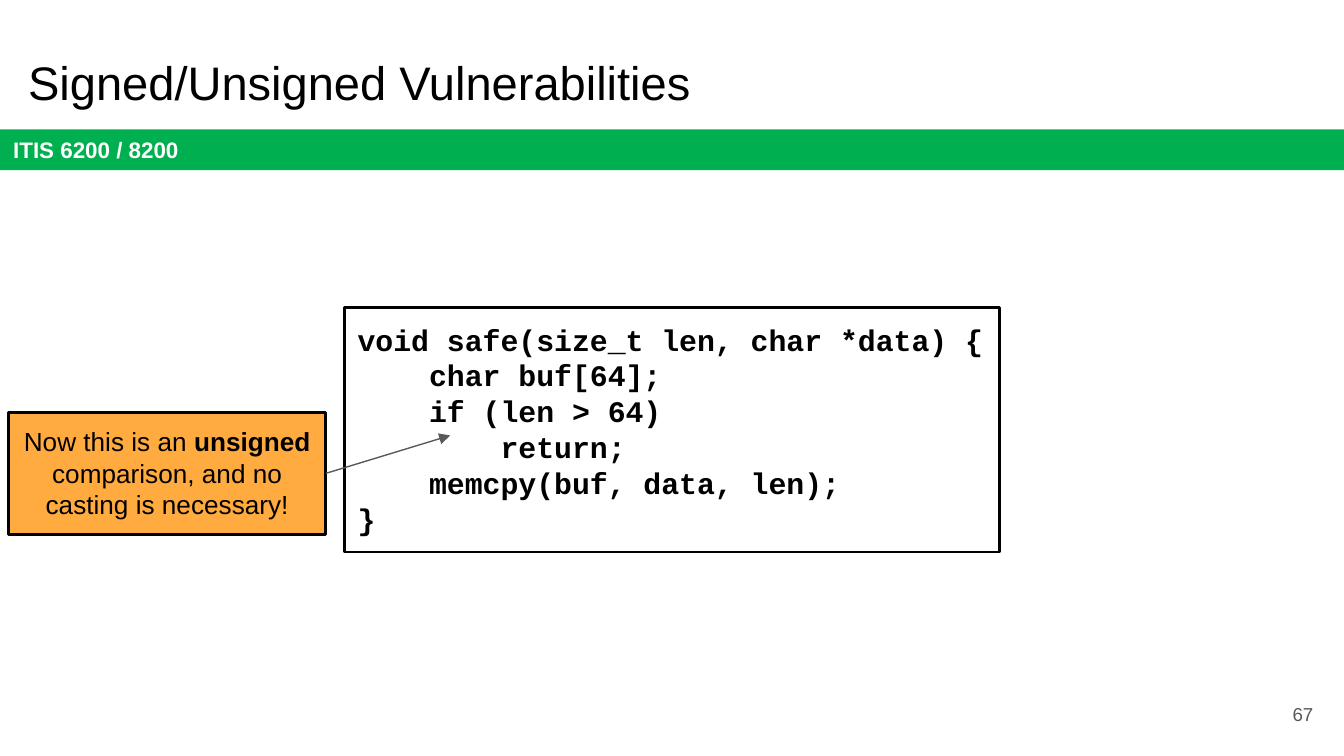
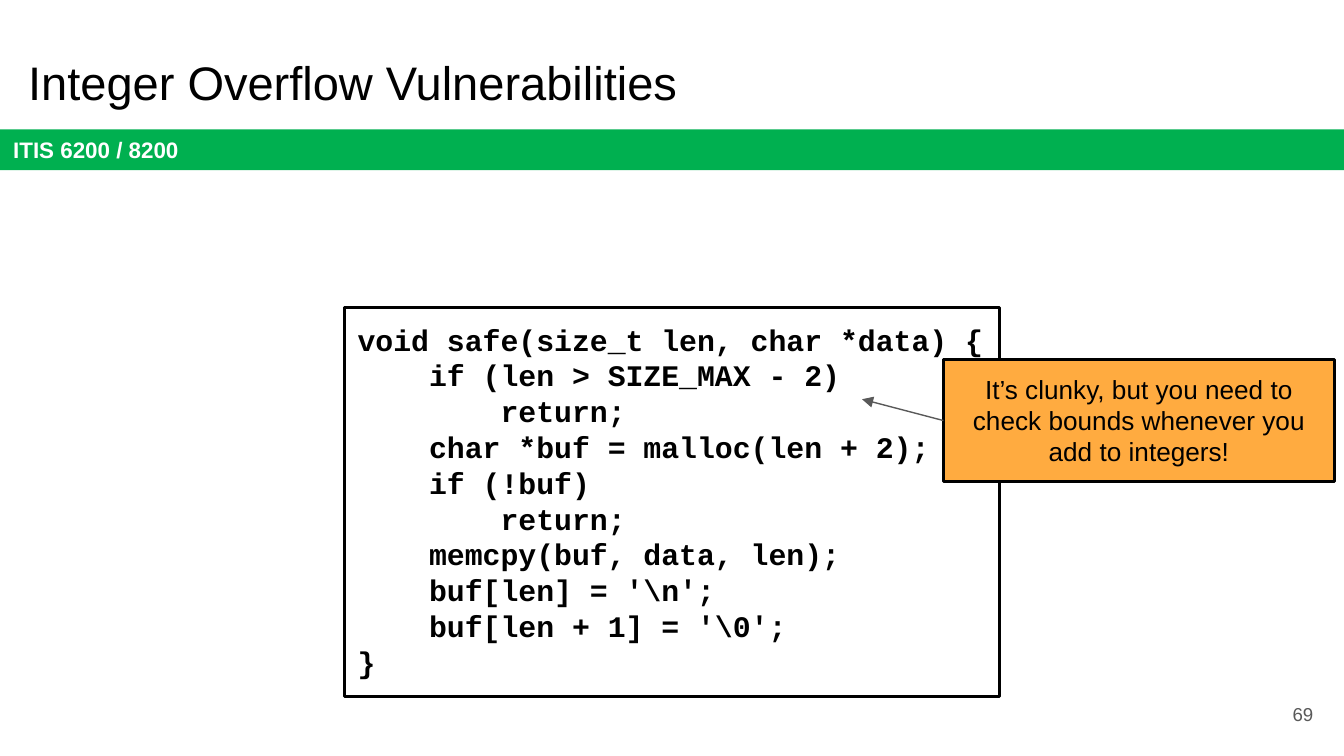
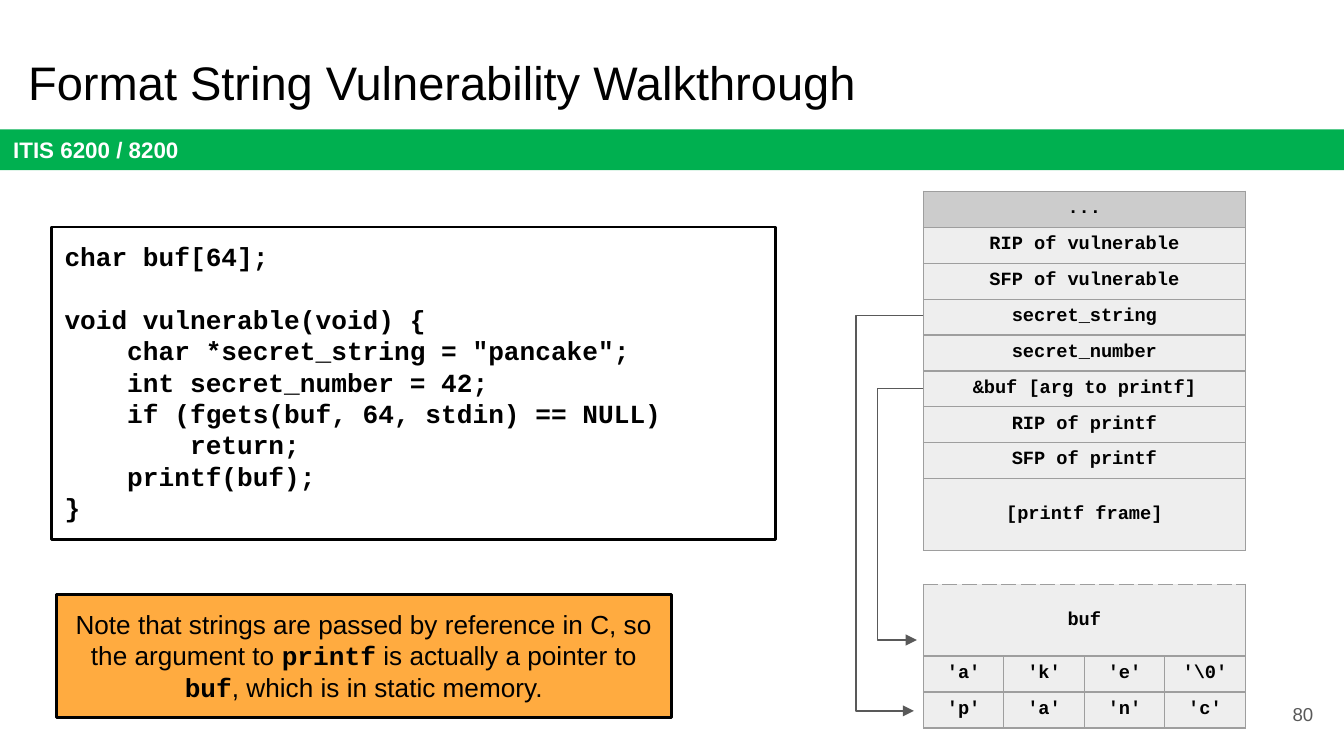
import pptx
import pptx.util
import pptx.dml.color
import pptx.enum.shapes
import pptx.enum.text
import pptx.oxml
import pptx.oxml.ns

Pt = pptx.util.Pt
Shape = pptx.enum.shapes.MSO_SHAPE
Align = pptx.enum.text.PP_ALIGN
Anchor = pptx.enum.text.MSO_ANCHOR

COLORS = {
    "band": "00B050", "note": "FFAB40", "ink": "000000", "paper": "FFFFFF",
    "gray": "595959", "grid": "9E9E9E", "cell": "EEEEEE", "head": "CCCCCC",
}
SANS, MONO = "Arial", "Courier New"
COURSE = "ITIS 6200 / 8200"
ROW, COL = 19.2, 43.1
STACK_X = 494.7

# Boxes are left, top, width, height. Note runs are text, font, bold.
SLIDES = [
    {
        "title": "Signed/Unsigned Vulnerabilities", "page": 67,
        "code": {"box": (184.5, 164.9, 350.9, 130.9), "size": 16, "lines": [
            "void safe(size_t len, char *data) {",
            "    char buf[64];",
            "    if (len > 64)",
            "        return;",
            "    memcpy(buf, data, len);",
            "}",
        ]},
        "note": {"box": (4.6, 220.9, 170, 65.5), "runs": [
            ("Now this is an ", SANS, False),
            ("unsigned", SANS, True),
            (" comparison, and no casting is necessary!", SANS, False),
        ]},
        "arrow": (174.6, 253.6, 241.2, 233.3),
    },
    {
        "title": "Integer Overflow Vulnerabilities", "page": 69,
        "code": {"box": (184.5, 164.9, 350.9, 208.5), "size": 16, "lines": [
            "void safe(size_t len, char *data) {",
            "    if (len > SIZE_MAX - 2)",
            "        return;",
            "    char *buf = malloc(len + 2);",
            "    if (!buf)",
            "        return;",
            "    memcpy(buf, data, len);",
            "    buf[len] = '\\n';",
            "    buf[len + 1] = '\\0';",
            "}",
        ]},
        "note": {"box": (505.4, 192.6, 209.6, 65.5), "runs": [
            ("It’s clunky, but you need to check bounds whenever you "
             "add to integers!", SANS, False),
        ]},
        "arrow": (505.4, 225.3, 461.8, 213.9),
    },
    {
        "title": "Format String Vulnerability Walkthrough", "page": 80,
        "code": {"box": (27.5, 121.7, 388, 167.3), "size": 14, "lines": [
            "char buf[64];",
            "",
            "void vulnerable(void) {",
            "    char *secret_string = \"pancake\";",
            "    int secret_number = 42;",
            "    if (fgets(buf, 64, stdin) == NULL)",
            "        return;",
            "    printf(buf);",
            "}",
        ]},
        "note": {"box": (30.2, 318.7, 329.6, 65.5), "runs": [
            ("Note that strings are passed by reference in C, so the "
             "argument to ", SANS, False),
            ("printf", MONO, True),
            (" is actually a pointer to ", SANS, False),
            ("buf", MONO, True),
            (", which is in static memory.", SANS, False),
        ]},
        "stacks": [
            {"top": 102.5, "tall": 8, "head": 0, "dash": None, "rows": [
                ["..."], ["RIP of vulnerable"], ["SFP of vulnerable"],
                ["secret_string"], ["secret_number"],
                ["&buf [arg to printf]"], ["RIP of printf"],
                ["SFP of printf"], ["[printf frame]"],
            ]},
            {"top": 313.1, "tall": 0, "head": None, "dash": 0, "rows": [
                ["buf"],
                ["'a'", "'k'", "'e'", "'\\0'"],
                ["'p'", "'a'", "'n'", "'c'"],
            ]},
        ],
        # Start height, bend, end height, tip
        "bends": [(169.2, 458.6, 380.9, 489.6), (208.1, 470.2, 342.9, 491.2)],
    },
]


def rgb(name):
    return pptx.dml.color.RGBColor.from_string(COLORS[name])


def paint(shape, fill, edge=None):
    shape.shadow.inherit = False
    shape.fill.solid()
    shape.fill.fore_color.rgb = rgb(fill)
    if edge:
        shape.line.color.rgb = rgb(edge)
        shape.line.width = Pt(1.5)
    else:
        shape.line.fill.background()


def set_up(frame, anchor=Anchor.TOP):
    frame.word_wrap = True
    frame.vertical_anchor = anchor
    frame.margin_left = frame.margin_right = Pt(7.2)
    frame.margin_top = frame.margin_bottom = Pt(7.2)
    return frame.paragraphs[0]


def write(para, text, size, font=SANS, bold=False, color="ink", align=Align.LEFT):
    para.alignment = align
    run = para.add_run()
    run.text = text
    run.font.size = Pt(size)
    run.font.name = font
    run.font.bold = bold
    run.font.color.rgb = rgb(color)


def add_box(slide, box, fill, edge=None):
    shape = slide.shapes.add_shape(Shape.RECTANGLE, *map(Pt, box))
    paint(shape, fill, edge)
    return shape.text_frame


def add_label(slide, box, text, size, anchor=Anchor.TOP, **look):
    frame = slide.shapes.add_textbox(*map(Pt, box)).text_frame
    write(set_up(frame, anchor), text, size, **look)


def add_base(slide, title, page):
    """Add the band, title and page number every slide has."""
    band = add_box(slide, (0, 69.3, 720, 21.8), "band")
    write(set_up(band, Anchor.MIDDLE), COURSE, 12, bold=True, color="paper")
    add_label(slide, (8, 21.6, 671, 45.4), title, 25.2)
    add_label(slide, (667.4, 367.2, 43.2, 31), str(page), 10, Anchor.MIDDLE,
              color="gray", align=Align.RIGHT)


def add_code(slide, box, size, lines):
    """Write one paragraph a line; an empty line becomes space before."""
    frame = add_box(slide, box, "paper", "ink")
    para, gap = set_up(frame), False
    for i, line in enumerate(lines):
        if not line:
            gap = True
            continue
        if i:
            para = frame.add_paragraph()
        if gap:
            para.space_before = Pt(size * 1.2)
        write(para, line, size, MONO, True)
        gap = False


def add_note(slide, box, runs):
    para = set_up(add_box(slide, box, "note", "ink"))
    for text, font, bold in runs:
        write(para, text, 14, font, bold, align=Align.CENTER)


def add_tip(shape):
    """Style a line and put an arrowhead at its end."""
    shape.line.color.rgb = rgb("gray")
    shape.line.width = Pt(0.75)
    tip = pptx.oxml.parse_xml(
        f'<a:tailEnd {pptx.oxml.ns.nsdecls("a")} type="triangle"/>')
    shape.line._get_or_add_ln().append(tip)


def add_arrow(slide, ends):
    kind = pptx.enum.shapes.MSO_CONNECTOR.STRAIGHT
    arrow = slide.shapes.add_connector(kind, *map(Pt, ends))
    add_tip(arrow)
    arrow._element.spPr.append(pptx.oxml.parse_xml(
        f'<a:effectLst {pptx.oxml.ns.nsdecls("a")}/>'))


def add_bend(slide, start, bend, end, tip):
    pen = slide.shapes.build_freeform(Pt(STACK_X), Pt(start))
    turns = [(bend, start), (bend, end), (tip, end)]
    pen.add_line_segments([(Pt(x), Pt(y)) for x, y in turns], close=False)
    shape = pen.convert_to_shape()
    shape.shadow.inherit = False
    shape.fill.background()
    add_tip(shape)


def edge_cell(cell, dashed):
    """Draw the four borders, the top one dashed on request."""
    props = cell._tc.get_or_add_tcPr()
    for i, side in enumerate("LRTB"):
        dash = "dash" if dashed and side == "T" else "solid"
        props.insert(i, pptx.oxml.parse_xml(
            f'<a:ln{side} {pptx.oxml.ns.nsdecls("a")} w="{Pt(0.75)}">'
            f'<a:solidFill><a:srgbClr val="{COLORS["grid"]}"/></a:solidFill>'
            f'<a:prstDash val="{dash}"/></a:ln{side}>'))


def add_stack(slide, top, tall, head, dash, rows):
    high = ROW * (len(rows) + 1)
    table = slide.shapes.add_table(
        len(rows), 4, Pt(STACK_X), Pt(top), Pt(4 * COL), Pt(high)).table
    table.first_row = table.horz_banding = False
    for col in table.columns:
        col.width = Pt(COL)
    for r, texts in enumerate(rows):
        table.rows[r].height = Pt(ROW * 2 if r == tall else ROW)
        for c in range(4):
            cell = table.cell(r, c)
            cell.fill.solid()
            cell.fill.fore_color.rgb = rgb("head" if r == head else "cell")
            cell.margin_left = cell.margin_right = Pt(3.6)
            cell.margin_top = cell.margin_bottom = Pt(3.6)
            cell.vertical_anchor = Anchor.MIDDLE if r == tall else Anchor.TOP
            edge_cell(cell, r == dash)
            if c < len(texts):
                write(cell.text_frame.paragraphs[0], texts[c], 10, MONO, True,
                      align=Align.CENTER)
        if len(texts) == 1:
            table.cell(r, 0).merge(table.cell(r, 3))


def main():
    deck = pptx.Presentation()
    deck.slide_width, deck.slide_height = Pt(720), Pt(405)
    for part in SLIDES:
        slide = deck.slides.add_slide(deck.slide_layouts[6])
        add_base(slide, part["title"], part["page"])
        add_code(slide, **part["code"])
        add_note(slide, **part["note"])
        if "arrow" in part:
            add_arrow(slide, part["arrow"])
        for stack in part.get("stacks", []):
            add_stack(slide, **stack)
        for bend in part.get("bends", []):
            add_bend(slide, *bend)
    deck.save("out.pptx")


if __name__ == "__main__":
    main()
